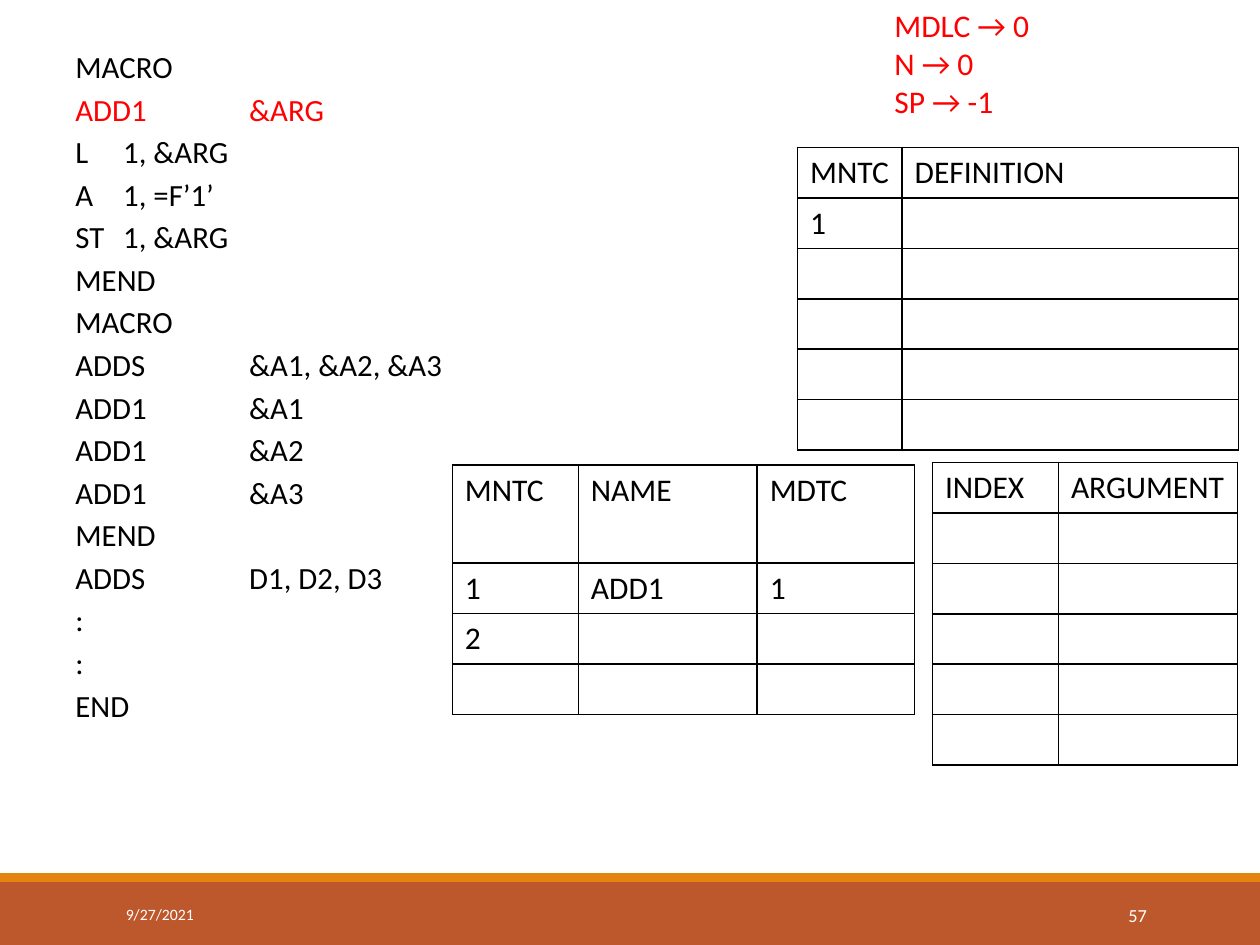
from lxml.etree import SubElement
from pptx import Presentation
from pptx.dml.color import RGBColor
from pptx.enum.shapes import MSO_SHAPE
from pptx.enum.text import MSO_ANCHOR, PP_ALIGN
from pptx.oxml.ns import qn
from pptx.util import Inches, Pt

COLORS = {
    "text": "000000",
    "highlight": "FF0000",
    "footer": "BD582C",
    "stripe": "E48312",
    "light": "FFFFFF",
}
FONT = "Calibri"
ROW_HEIGHT = 0.4

CODE = [
    "MACRO", "ADD1\t&ARG", "L\t1, &ARG", "A\t1, =F’1’", "ST\t1, &ARG", "MEND",
    "MACRO", "ADDS\t&A1, &A2, &A3", "ADD1\t&A1", "ADD1\t&A2", "ADD1\t&A3", "MEND",
    "ADDS\tD1, D2, D3", ":", ":", "END",
]
CURRENT_LINE = 1
COUNTERS = ["MDLC → 0", "N → 0", "SP → -1"]

# Each table: left, top, column widths, header height, number of rows, filled rows
TABLES = [
    (6.33, 1.17, [0.83, 2.67], ROW_HEIGHT, 6, [["MNTC", "DEFINITION"], ["1"]]),
    (7.4, 3.67, [1, 1.42], ROW_HEIGHT, 6, [["INDEX", "ARGUMENT"]]),
    (3.59, 3.69, [1, 1.42, 1.25], 0.78, 4,
     [["MNTC", "NAME", "MDTC"], ["1", "ADD1", "1"], ["2"]]),
]
BARS = [(7, 0.5, "footer"), (6.93, 0.07, "stripe")]


def rgb(name):
    return RGBColor.from_string(COLORS[name])


def add_run(paragraph, text, size, color):
    run = paragraph.add_run()
    run.text = text
    run.font.name = FONT
    run.font.size = Pt(size)
    run.font.color.rgb = rgb(color)


def add_text(slide, box, lines, size, color, anchor=MSO_ANCHOR.TOP):
    """Add a text box with one paragraph per line and return its paragraphs."""
    frame = slide.shapes.add_textbox(*map(Inches, box)).text_frame
    frame.word_wrap = True
    frame.vertical_anchor = anchor
    for index, line in enumerate(lines):
        paragraph = frame.add_paragraph() if index else frame.paragraphs[0]
        add_run(paragraph, line, size, color)
    return frame.paragraphs


def add_borders(cell):
    properties = cell._tc.get_or_add_tcPr()
    for position, side in enumerate(("lnL", "lnR", "lnT", "lnB")):
        line = SubElement(properties, qn(f"a:{side}"), w=str(Pt(1)))
        fill = SubElement(line, qn("a:solidFill"))
        SubElement(fill, qn("a:srgbClr"), val=COLORS["text"])
        properties.remove(line)
        properties.insert(position, line)


def add_grid(slide, left, top, widths, header_height, row_count, filled):
    heights = [header_height] + [ROW_HEIGHT] * (row_count - 1)
    table = slide.shapes.add_table(
        row_count, len(widths), Inches(left), Inches(top),
        Inches(sum(widths)), Inches(sum(heights))).table
    table.first_row = table.horz_banding = False
    for column, width in zip(table.columns, widths):
        column.width = Inches(width)
    for row, height in zip(table.rows, heights):
        row.height = Inches(height)
    for cell in table.iter_cells():
        cell.fill.background()
        add_borders(cell)
    for row, texts in enumerate(filled):
        for column, text in enumerate(texts):
            add_run(table.cell(row, column).text_frame.paragraphs[0], text, 18, "text")


def main():
    presentation = Presentation()
    presentation.slide_width = Inches(10)
    presentation.slide_height = Inches(7.5)
    slide = presentation.slides.add_slide(presentation.slide_layouts[6])

    # Footer bars
    for top, height, color in BARS:
        bar = slide.shapes.add_shape(
            MSO_SHAPE.RECTANGLE, 0, Inches(top), Inches(10), Inches(height))
        bar.shadow.inherit = False
        bar.fill.solid()
        bar.fill.fore_color.rgb = rgb(color)
        bar.line.fill.background()

    # Macro source, with hanging indents and one-inch tab stops
    code = add_text(slide, (0.5, 0.33, 3.17, 4.95), CODE, 17.6, "text")
    for index, paragraph in enumerate(code):
        properties = paragraph._p.get_or_add_pPr()
        properties.set("marL", str(Inches(0.38)))
        properties.set("indent", str(-Inches(0.38)))
        properties.set("defTabSz", str(Inches(1)))
        paragraph.space_before = Pt(3.2 if index else 0)
    code[CURRENT_LINE].runs[0].font.color.rgb = rgb("highlight")

    # Counters and tables
    add_text(slide, (7, 0, 3, 1.01), COUNTERS, 18, "highlight")
    for table in TABLES:
        add_grid(slide, *table)

    # Slide number and date
    number = add_text(slide, (8.12, 7.06, 1.08, 0.4), ["57"], 10.5, "light", MSO_ANCHOR.MIDDLE)
    number[0].alignment = PP_ALIGN.RIGHT
    add_text(slide, (0.9, 7.06, 2.03, 0.4), ["9/27/2021"], 9, "light", MSO_ANCHOR.MIDDLE)

    presentation.save("out.pptx")


if __name__ == "__main__":
    main()
